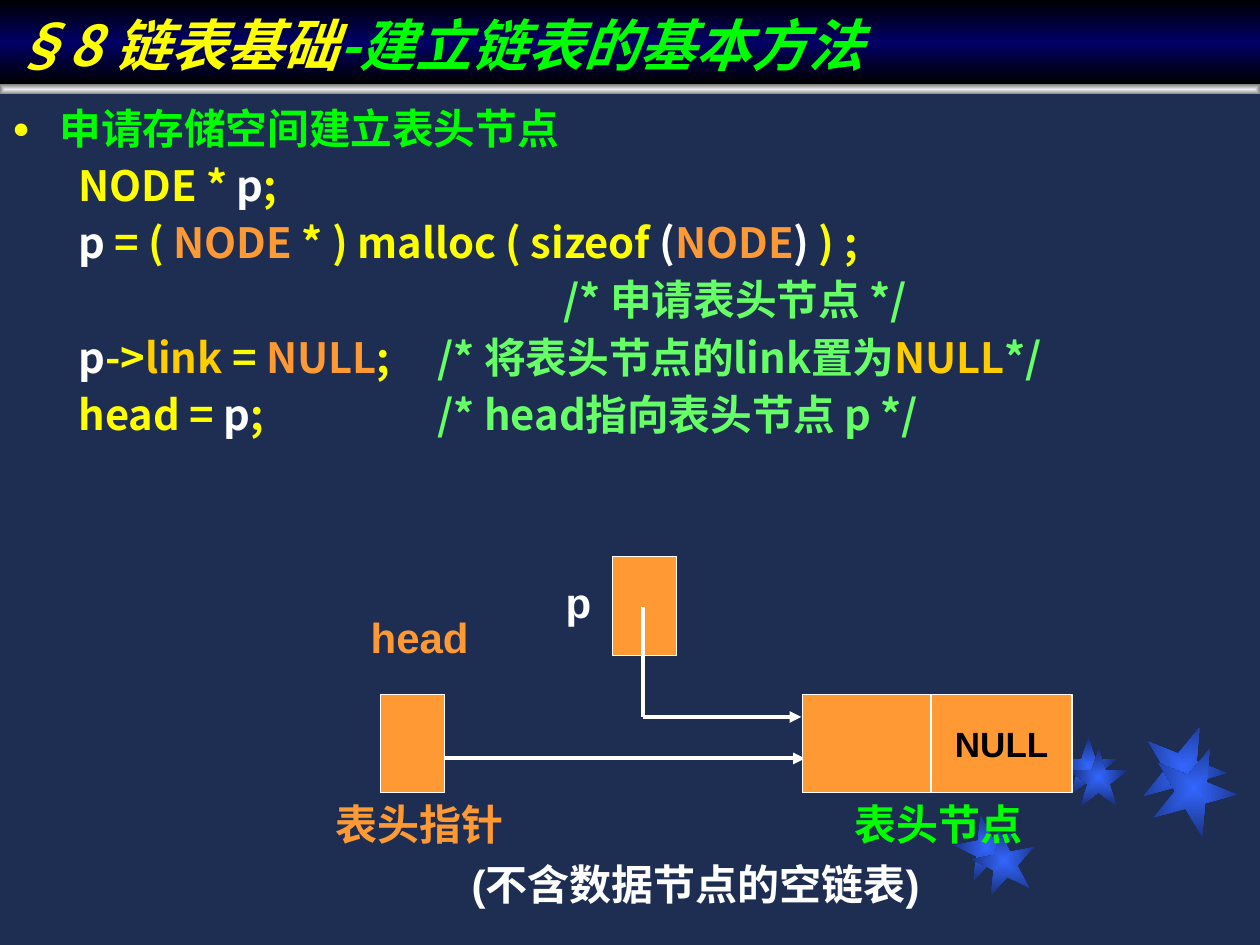
import pptx
import pptx.dml.color
import pptx.enum.shapes
import pptx.enum.text
import pptx.oxml
import pptx.oxml.ns
import pptx.util
from lxml import etree

Pt = pptx.util.Pt
RGB = pptx.dml.color.RGBColor.from_string
SHAPE = pptx.enum.shapes.MSO_SHAPE
ANCHOR = pptx.enum.text.MSO_ANCHOR
ALIGN = pptx.enum.text.PP_ALIGN
qn = pptx.oxml.ns.qn
COLORS = {
    "background": "1E2E53", "star": "3366FF", "star edge": "182F76",
    "rule": "EDEDED", "rule edge": "808080", "black": "000000", "navy": "000066",
    "yellow": "FFFF00", "green": "00FF00", "comment": "66FF66",
    "white": "FFFFFF", "orange": "FF9933", "gold": "FFCC00",
}
CJK = "Noto Sans CJK SC"


def write(paragraph, text, color="white", size=24, font="Arial", italic=False):
    run = paragraph.add_run()
    run.text = text
    run.font.size = Pt(size)
    run.font.bold = True
    run.font.italic = italic
    run.font.color.rgb = RGB(COLORS[color])
    run.font.name = font
    if font == CJK:
        etree.SubElement(run.font._element, qn("a:ea"), typeface=font)


def gradient_shape(kind, left, top, width, height, colors, centred=True):
    shape = slide.shapes.add_shape(kind, Pt(left), Pt(top), Pt(width), Pt(height))
    shape.shadow.inherit = False
    shape.line.fill.background()
    stops = "".join(
        f'<a:gs pos="{100000 * i // (len(colors) - 1)}"><a:srgbClr val="{COLORS[c]}"/></a:gs>'
        for i, c in enumerate(colors))
    direction = ('<a:path path="rect"><a:fillToRect l="50000" t="50000" r="50000" b="50000"/></a:path>'
                 if centred else '<a:lin ang="5400000" scaled="0"/>')
    shape.fill.gradient()
    fill = shape._element.spPr.find(qn("a:gradFill"))
    fill.getparent().replace(fill, pptx.oxml.parse_xml(
        f'<a:gradFill {pptx.oxml.ns.nsdecls("a")} rotWithShape="1">'
        f'<a:gsLst>{stops}</a:gsLst>{direction}</a:gradFill>'))
    return shape


deck = pptx.Presentation()
deck.slide_width, deck.slide_height = Pt(720), Pt(540)
slide = deck.slides.add_slide(deck.slide_layouts[6])
slide.background.fill.solid()
slide.background.fill.fore_color.rgb = RGB(COLORS["background"])

# Decorative stars
for left, top, size, angle in [
    (545.8, 465.8, 36, 349), (605.5, 421.2, 33, 0), (652.3, 414, 48.2, 22),
    (555.8, 473.8, 36, 349), (611.3, 427.7, 33, 0), (658.1, 426.2, 48.2, 22),
]:
    star = gradient_shape(SHAPE.STAR_5_POINT, left, top, size, size, ["star", "star edge"])
    star.rotation = angle

# Rule below the title
gradient_shape(SHAPE.RECTANGLE, 0, 48.2, 720, 5.8, ["rule", "rule edge"])

# Heading and code
code_lines = [
    [("申请存储空间建立表头节点", "green")],
    [("\t  NODE * ", "yellow"), ("p", "white"), (";", "yellow")],
    [("\t  p", "white"), (" = (", "yellow"), (" NODE ", "orange"),
     ("* ) malloc ( sizeof ", "yellow"), ("(", "white"), ("NODE", "orange"),
     (")", "white"), (" ) ;", "yellow")],
    [("\t\t\t\t\t/* 申请表头节点 */", "comment")],
    [("\t  p", "white"), ("->", "yellow"), ("link", "gold"), (" = ", "yellow"),
     ("NULL", "orange"), (";\t", "yellow"), ("/* 将表头节点的link置为", "comment"),
     ("NULL", "gold"), ("*/", "comment")],
    [("\t  head = ", "yellow"), ("p", "white"), (";\t\t", "yellow"),
     ("/* head指向表头节点 p */", "comment")],
]
code = slide.shapes.add_textbox(0, Pt(58.3), Pt(720), Pt(247.7)).text_frame
code.word_wrap = True
for row, pieces in enumerate(code_lines):
    line = code.add_paragraph() if row else code.paragraphs[0]
    line.line_spacing = 0.9
    line.space_before = Pt(7 if row else 0)
    properties = line._p.get_or_add_pPr()
    properties.set("marL", str(Pt(27)))
    properties.set("indent", str(Pt(-27)))
    properties.set("defTabSz", str(Pt(72)))
    if row == 0:
        bullet_color = etree.SubElement(properties, qn("a:buClr"))
        etree.SubElement(bullet_color, qn("a:srgbClr"), val=COLORS["yellow"])
        etree.SubElement(properties, qn("a:buSzPct"), val="70000")
        etree.SubElement(properties, qn("a:buFont"), typeface="Arial")
        etree.SubElement(properties, qn("a:buChar"), char="●")
    tabs = etree.SubElement(properties, qn("a:tabLst"))
    for stop in range(8):
        etree.SubElement(tabs, qn("a:tab"), pos=str(Pt(72 * stop)), algn="l")
    for text, color in pieces:
        write(line, text, color=color, size=23.8, font=CJK)

# Pointer and node boxes, with the arrows over or under them
node_top, node_height = 396.7, 56.2
arrow = (237, 433.4, 460, 433.4, True)
boxes = [
    (458.6, node_top, 73.5, ""), (532.1, node_top, 80.6, "NULL"),
    (217.4, node_top, 36.7, ""), (350, 318.2, 36.7, ""),
]
p_arrow = [(367.2, 347, 367.2, 409.7, False), (367.2, 409.7, 457.9, 409.7, True)]
for part in [arrow, *boxes, *p_arrow]:
    if len(part) == 5:
        x1, y1, x2, y2, has_head = part
        link = slide.shapes.add_connector(
            pptx.enum.shapes.MSO_CONNECTOR.STRAIGHT, Pt(x1), Pt(y1), Pt(x2), Pt(y2))
        link.line.color.rgb = RGB(COLORS["white"])
        link.line.width = Pt(2.25)
        if has_head:
            etree.SubElement(link.line._get_or_add_ln(), qn("a:tailEnd"), type="triangle")
        etree.SubElement(link._element.spPr, qn("a:effectLst"))
    else:
        left, top, width, text = part
        box = slide.shapes.add_shape(
            SHAPE.RECTANGLE, Pt(left), Pt(top), Pt(width), Pt(node_height))
        box.shadow.inherit = False
        box.fill.solid()
        box.fill.fore_color.rgb = RGB(COLORS["orange"])
        box.line.color.rgb = RGB(COLORS["white"])
        box.line.width = Pt(0.75)
        if text:
            box.text_frame.word_wrap = False
            write(box.text_frame.paragraphs[0], text, color="black", size=20)

# Labels
for text, left, top, width, height, color in [
    ("表头节点", 483.1, 456.5, 106.6, 28, "green"),
    ("表头指针", 186.5, 456.5, 106.6, 28, "orange"),
    ("head", 186.5, 350, 106.6, 28, "orange"),
    ("p", 309.6, 329.8, 41.8, 28, "white"),
    ("(不含数据节点的空链表)", 252, 486.7, 290.9, 36, "white"),
]:
    label = slide.shapes.add_textbox(Pt(left), Pt(top), Pt(width), Pt(height)).text_frame
    label.margin_left = label.margin_right = 0
    label.word_wrap = False
    label.vertical_anchor = ANCHOR.MIDDLE
    label.paragraphs[0].alignment = ALIGN.CENTER
    write(label.paragraphs[0], text, color=color)

# Title bar
title = gradient_shape(SHAPE.RECTANGLE, 0, 0, 720, 48.2,
                       ["black", "navy", "black"], centred=False).text_frame
title.word_wrap = True
title.vertical_anchor = ANCHOR.BOTTOM
title.paragraphs[0].alignment = ALIGN.LEFT
for text, color in [("§8 链表基础", "yellow"), ("-建立链表的基本方法", "green")]:
    write(title.paragraphs[0], text, color=color, size=32, font=CJK, italic=True)

deck.save("out.pptx")
